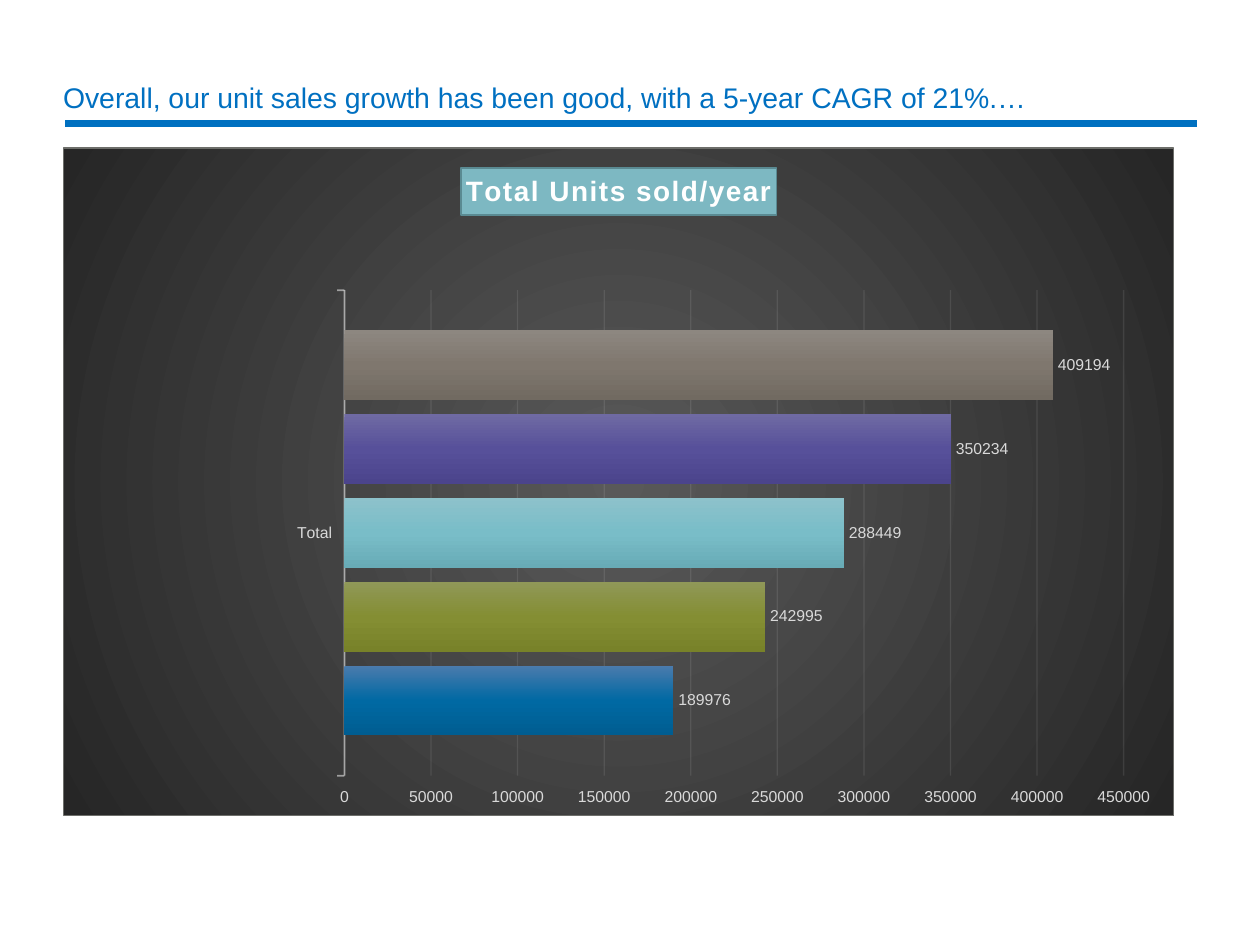
from typing import NamedTuple

from lxml.etree import SubElement
from pptx import Presentation
from pptx.chart.data import CategoryChartData
from pptx.dml.color import RGBColor
from pptx.enum.chart import XL_CHART_TYPE, XL_LABEL_POSITION, XL_TICK_MARK
from pptx.enum.shapes import MSO_CONNECTOR
from pptx.enum.text import MSO_ANCHOR, MSO_AUTO_SIZE, PP_ALIGN
from pptx.oxml import parse_xml
from pptx.oxml.ns import nsdecls, qn
from pptx.util import Inches, Pt

FONT = "Arial"
COLORS = {
    "headline": "0070C1",
    "rule": "0070C0",
    "white": "FFFFFF",
    "labels": "D9D9D9",
    "axis": "F2F2F2",
    "chart_border": "6D6E6A",
    "title_fill": "7DB8C2",
    "title_border": "5A8A92",
}
CHART_GRADIENT = ("595959", "262626")
RADIAL = ('<a:path path="circle"><a:fillToRect l="50000" t="50000" '
          'r="50000" b="50000"/></a:path>')
VERTICAL = '<a:lin ang="5400000" scaled="0"/>'


class YearBar(NamedTuple):
    name: str
    units: int
    gradient: tuple[str, ...]


YEAR_BARS = [
    YearBar("Series 1", 189976, ("4B7BAD", "0069A3", "005D91")),
    YearBar("Series 2", 242995, ("909858", "848E33", "788229")),
    YearBar("Series 3", 288449, ("8DC2CB", "79BDC8", "68ABB6")),
    YearBar("Series 4", 350234, ("6F6AA3", "57509A", "4B448C")),
    YearBar("Series 5", 409194, ("8D8780", "7F776E", "716A61")),
]


def format_font(font, size: float, color: str, bold: bool = False) -> None:
    font.name = FONT
    font.size = Pt(size)
    font.bold = bold
    font.color.rgb = RGBColor.from_string(COLORS[color])


def add_text(paragraph, text: str, *, size: float, color: str, bold: bool = False):
    run = paragraph.add_run()
    run.text = text
    format_font(run.font, size, color, bold)
    return run


def format_line(line, color: str, width: float, opacity: int = 100) -> None:
    line.color.rgb = RGBColor.from_string(COLORS[color])
    line.width = Pt(width)
    if opacity < 100:
        rgb = line._get_or_add_ln().find(f".//{qn('a:srgbClr')}")
        SubElement(rgb, qn("a:alpha")).set("val", str(opacity * 1000))


def gradient_fill(stops: tuple[str, ...], direction: str):
    """Return a gradient with evenly spaced stops."""
    step = 100000 // (len(stops) - 1)
    stop_xml = "".join(
        f'<a:gs pos="{i * step}"><a:srgbClr val="{color}"/></a:gs>'
        for i, color in enumerate(stops))
    return parse_xml(f'<a:gradFill {nsdecls("a")} rotWithShape="1">'
                     f'<a:gsLst>{stop_xml}</a:gsLst>{direction}</a:gradFill>')


def add_headline(slide) -> None:
    rule = slide.shapes.add_connector(
        MSO_CONNECTOR.STRAIGHT, Inches(0.52), Inches(0.98), Inches(9.5), Inches(0.98))
    format_line(rule.line, "rule", 4.5)
    SubElement(rule._element.spPr, qn("a:effectLst"))

    headline = slide.shapes.title
    headline.left, headline.top = Inches(0.5), Inches(0.64)
    headline.width, headline.height = Inches(9), Inches(0.3)
    frame = headline.text_frame
    frame.auto_size = MSO_AUTO_SIZE.NONE
    frame.word_wrap = True
    frame.vertical_anchor = MSO_ANCHOR.MIDDLE
    frame.margin_left = frame.margin_right = 0
    frame.margin_top = frame.margin_bottom = Inches(0.05)
    paragraph = frame.paragraphs[0]
    paragraph.alignment = PP_ALIGN.LEFT
    paragraph.line_spacing = 0.9
    add_text(paragraph,
             "Overall, our unit sales growth has been good, with a 5-year CAGR of 21%.",
             size=16.2, color="headline")
    add_text(paragraph, "…", size=16.2, color="rule")


def format_chart_area(chart) -> None:
    area = parse_xml(f'<c:spPr {nsdecls("c", "a")}><a:ln w="9525"><a:solidFill>'
                     f'<a:srgbClr val="{COLORS["chart_border"]}"/>'
                     '</a:solidFill></a:ln></c:spPr>')
    area.insert(0, gradient_fill(CHART_GRADIENT, RADIAL))
    chart._chartSpace.chart.addnext(area)


def place_plot(chart, x: float, y: float, w: float, h: float) -> None:
    """Set the inner plot area as fractions of the chart."""
    plot_area = chart._chartSpace.chart.plotArea
    for old_layout in plot_area.findall(qn("c:layout")):
        plot_area.remove(old_layout)
    modes = '<c:xMode val="edge"/><c:yMode val="edge"/>'
    sizes = "".join(f'<c:{key} val="{value}"/>'
                    for key, value in zip("xywh", (x, y, w, h)))
    plot_area.insert(0, parse_xml(
        f'<c:layout {nsdecls("c")}><c:manualLayout><c:layoutTarget val="inner"/>'
        f'{modes}{sizes}</c:manualLayout></c:layout>'))


def format_axes(chart) -> None:
    for axis in (chart.category_axis, chart.value_axis):
        axis.major_tick_mark = XL_TICK_MARK.OUTSIDE
        axis.minor_tick_mark = XL_TICK_MARK.NONE
        format_font(axis.tick_labels.font, 9, "labels")
    format_line(chart.category_axis.format.line, "axis", 1, opacity=54)

    units = chart.value_axis
    units.minimum_scale, units.maximum_scale, units.major_unit = 0, 450000, 50000
    units.format.line.fill.background()
    units.tick_labels.number_format = "0"
    units.tick_labels.number_format_is_linked = False
    format_line(units.major_gridlines.format.line, "axis", 0.75, opacity=10)


def add_chart_title(chart) -> None:
    title = chart.chart_title
    title.include_in_layout = False
    run = add_text(title.text_frame.paragraphs[0], "Total Units sold/year",
                   size=16, color="white", bold=True)
    run.font._element.set("spc", "100")
    title.format.fill.solid()
    title.format.fill.fore_color.rgb = RGBColor.from_string(COLORS["title_fill"])
    format_line(title.format.line, "title_border", 1)


def add_units_chart(slide) -> None:
    data = CategoryChartData(number_format="0")
    data.categories = ["Total"]
    for bar in YEAR_BARS:
        data.add_series(bar.name, [bar.units])
    chart = slide.shapes.add_chart(
        XL_CHART_TYPE.BAR_CLUSTERED, Inches(0.5), Inches(1.17),
        Inches(8.82), Inches(5.31), data).chart
    chart.has_legend = False
    format_font(chart.font, 10, "labels")
    format_chart_area(chart)
    place_plot(chart, 0.253, 0.213, 0.702, 0.727)
    add_chart_title(chart)
    format_axes(chart)

    plot = chart.plots[0]
    plot.gap_width, plot.overlap = 115, -20
    plot.vary_by_categories = False
    for series, bar in zip(plot.series, YEAR_BARS):
        series.invert_if_negative = False
        series._element.get_or_add_spPr().append(gradient_fill(bar.gradient, VERTICAL))
        labels = series.data_labels
        labels.show_value = True
        labels.position = XL_LABEL_POSITION.OUTSIDE_END
        labels.number_format = "0"
        labels.number_format_is_linked = False
        format_font(labels.font, 9, "labels")


def main() -> None:
    presentation = Presentation()
    presentation.slide_width, presentation.slide_height = Inches(10), Inches(7.5)
    slide = presentation.slides.add_slide(presentation.slide_layouts[5])
    add_headline(slide)
    add_units_chart(slide)
    presentation.save("out.pptx")


if __name__ == "__main__":
    main()
